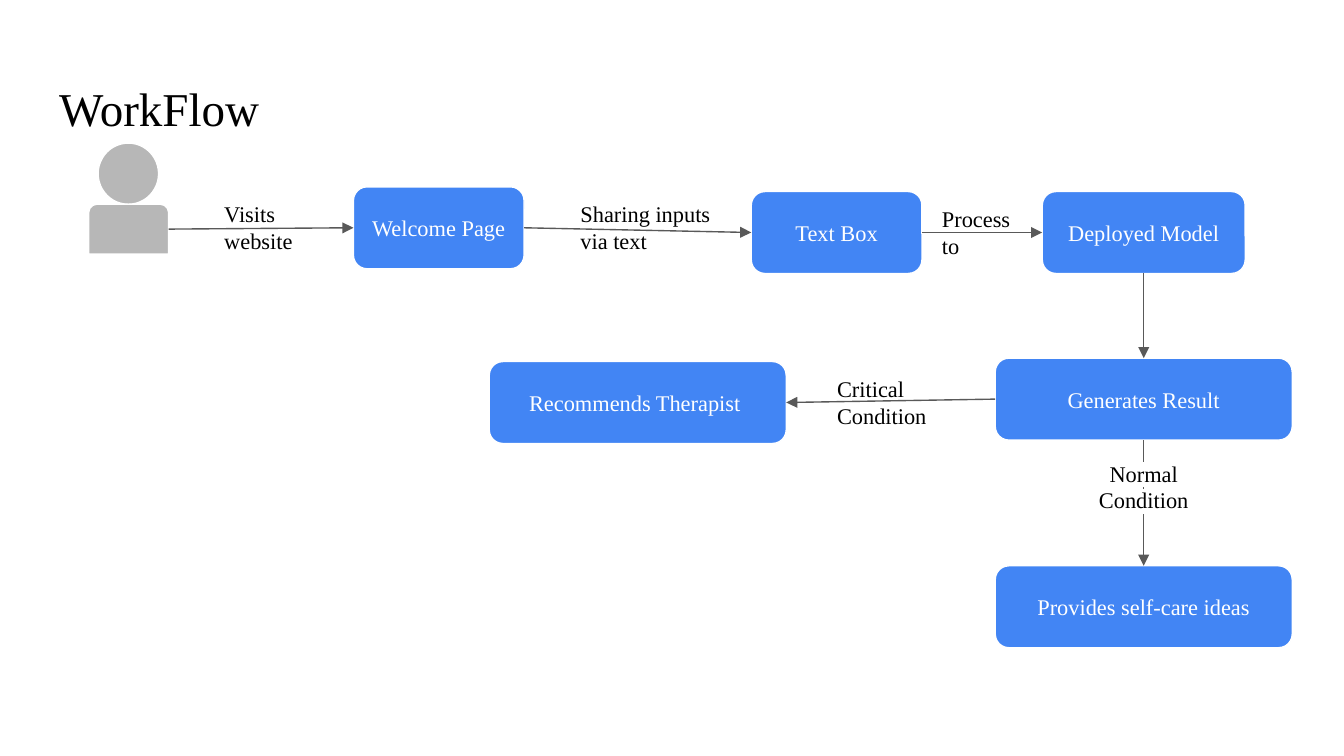
from lxml.etree import SubElement
from pptx import Presentation
from pptx.dml.color import RGBColor
from pptx.enum.shapes import MSO_CONNECTOR, MSO_SHAPE
from pptx.enum.text import MSO_ANCHOR, PP_ALIGN
from pptx.oxml import parse_xml
from pptx.oxml.ns import nsdecls, qn
from pptx.util import Inches, Pt

BLUE = RGBColor(0x42, 0x85, 0xF4)
GRAY = RGBColor(0xB7, 0xB7, 0xB7)
DARK_GRAY = RGBColor(0x59, 0x59, 0x59)
BLACK = RGBColor(0, 0, 0)
WHITE = RGBColor(0xFF, 0xFF, 0xFF)
FONT = "Times New Roman"
CELL = Inches(0.1)
STEP_ROWS = 6.1
TOP, LEFT, BOTTOM, RIGHT = range(4)

STEPS = {
    "Welcome Page": (26.3, 13.9, 12.7),
    "Text Box": (55.9, 14.25, 12.7),
    "Deployed Model": (77.55, 14.25, 15.1),
    "Generates Result": (74.05, 26.65, 22.1),
    "Provides self-care ideas": (74.05, 42.1, 22.1),
    "Recommends Therapist ": (36.4, 26.9, 22.1),
}
ARROWS = [
    ("Welcome Page", RIGHT, "Text Box", LEFT),
    ("Text Box", RIGHT, "Deployed Model", LEFT),
    ("Deployed Model", BOTTOM, "Generates Result", TOP),
    ("Generates Result", BOTTOM, "Provides self-care ideas", TOP),
    ("Generates Result", LEFT, "Recommends Therapist ", RIGHT),
]
LABELS = [
    ("Visits website", 15.7, 13.9, 7.5),
    ("Sharing inputs via text", 42.2, 13.9, 13.2),
    ("Process to", 69.1, 14.25, 7.5),
    ("Critical Condition", 61.3, 26.9, 10),
]


def grid(*cells):
    return [int(cell * CELL) for cell in cells]


def format_text(frame, size, color, align, anchor):
    frame.word_wrap = True
    frame.vertical_anchor = anchor
    frame.margin_left = frame.margin_right = CELL
    frame.margin_top = frame.margin_bottom = CELL
    for para in frame.paragraphs:
        para.alignment = align
        for span in para.runs:
            span.font.size = Pt(size)
            span.font.name = FONT
            span.font.color.rgb = color


def set_title(slide, text):
    title = slide.shapes.title
    title.left, title.top, title.width, title.height = grid(3.4, 4.9, 93.2, 6.3)
    title.text_frame.text = text
    format_text(title.text_frame, 25.2, BLACK, PP_ALIGN.LEFT, MSO_ANCHOR.MIDDLE)


def add_filled_shape(shapes, kind, color, *cells):
    shape = shapes.add_shape(kind, *grid(*cells))
    shape.shadow.inherit = False
    shape.fill.solid()
    shape.fill.fore_color.rgb = color
    shape.line.color.rgb = WHITE
    shape.line.width = Pt(0.75)
    return shape


def add_step(slide, text, column, row, columns):
    step = add_filled_shape(slide.shapes, MSO_SHAPE.ROUNDED_RECTANGLE, BLUE,
                            column, row, columns, STEP_ROWS)
    step.text_frame.text = text
    format_text(step.text_frame, 12, WHITE, PP_ALIGN.CENTER, MSO_ANCHOR.MIDDLE)
    return step


def add_visitor(slide):
    visitor = slide.shapes.add_group_shape()
    add_filled_shape(visitor.shapes, MSO_SHAPE.OVAL, GRAY, 7.3, 10.65, 4.5, 4.55)
    add_filled_shape(visitor.shapes, MSO_SHAPE.ROUND_2_SAME_RECTANGLE, GRAY,
                     6.6, 15.2, 5.95, 3.7)


def add_arrow(slide, target, target_side, source=None, source_side=None, start=(0, 0)):
    arrow = slide.shapes.add_connector(MSO_CONNECTOR.STRAIGHT, *grid(*start, *start))
    if source is not None:
        arrow.begin_connect(source, source_side)
    arrow.end_connect(target, target_side)
    arrow.line.color.rgb = DARK_GRAY
    arrow.line.width = Pt(0.75)
    properties = arrow.line._get_or_add_ln()
    SubElement(properties, qn("a:tailEnd"), type="triangle")
    SubElement(arrow._element.spPr, qn("a:effectLst"))


def add_label(slide, text, column, row, columns, align=PP_ALIGN.LEFT):
    label = slide.shapes.add_textbox(*grid(column, row, columns, STEP_ROWS))
    label.text_frame.text = text
    format_text(label.text_frame, 12, BLACK, align, MSO_ANCHOR.TOP)
    return label


def highlight(label, color):
    for para in label.text_frame.paragraphs:
        for span in para.runs:
            fill = span.font._element.find(qn("a:solidFill"))
            fill.addnext(parse_xml(
                f'<a:highlight {nsdecls("a")}><a:srgbClr val="{color}"/></a:highlight>'))


def main():
    deck = Presentation()
    deck.slide_width = Inches(10)
    deck.slide_height = deck.slide_width * 9 // 16
    slide = deck.slides.add_slide(deck.slide_layouts[5])
    set_title(slide, "WorkFlow")
    add_visitor(slide)
    steps = {text: add_step(slide, text, *place) for text, place in STEPS.items()}
    add_arrow(slide, steps["Welcome Page"], LEFT, start=(12.55, 17.05))
    for source, source_side, target, target_side in ARROWS:
        add_arrow(slide, steps[target], target_side, steps[source], source_side)
    for label in LABELS:
        add_label(slide, *label)
    normal = add_label(slide, "Normal\nCondition", 77.55, 33.2, 15.1, PP_ALIGN.CENTER)
    highlight(normal, WHITE)
    deck.save("out.pptx")


if __name__ == "__main__":
    main()
